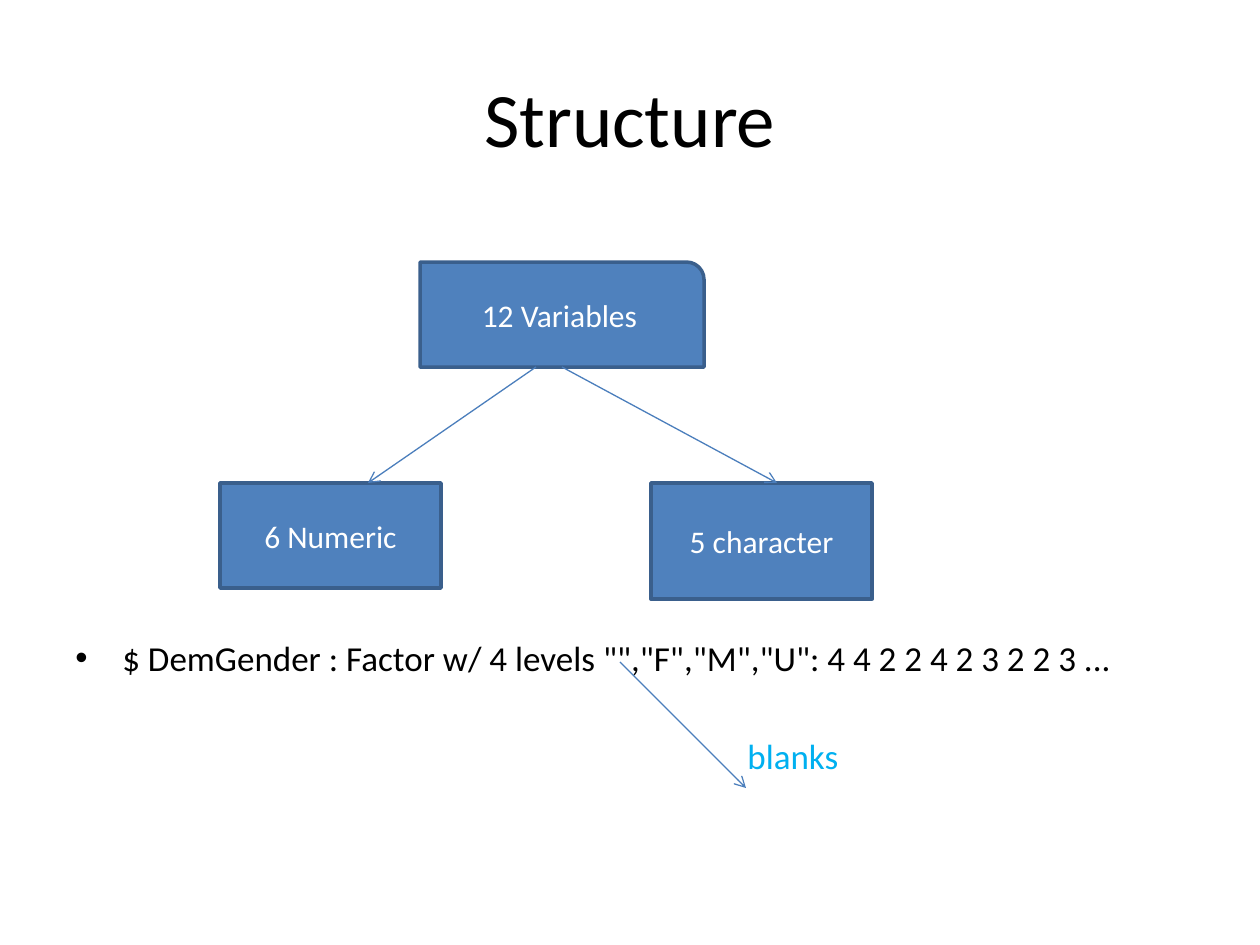
"""Build the Structure slide: a small tree of variable types and a factor example."""
from lxml.etree import SubElement
from pptx import Presentation
from pptx.dml.color import RGBColor
from pptx.enum.shapes import MSO_CONNECTOR as Connector, MSO_SHAPE as Shape
from pptx.enum.text import MSO_ANCHOR as Anchor, PP_ALIGN as Align
from pptx.oxml.ns import qn
from pptx.util import Pt

TITLE = "Structure"
BOXES = [
    ("12 Variables", Shape.ROUND_1_RECTANGLE, (420, 262, 284, 105)),
    ("6 Numeric", Shape.FLOWCHART_PROCESS, (220, 483, 221, 105)),
    ("5 character", Shape.FLOWCHART_PROCESS, (651, 483, 221, 116)),
]
ARROWS = [
    (536, 367, 368, 483),
    (562, 367, 777, 483),
    (620, 662, 746, 788),
]
FACTOR = '$ DemGender : Factor w/ 4 levels "","F","M","U": 4 4 2 2 4 2 3 2 2 3 ...'
NOTES = [
    (FACTOR, (63, 630, 1134, 56), "000000", True),
    ("blanks", (735, 728, 150, 56), "00B0F0", False),
]


def px(*lengths):
    return [round(length * 914400 / 126) for length in lengths]


def color(code):
    return RGBColor.from_string(code)


def write(frame, text, size, code, align):
    frame.word_wrap = True
    paragraph = frame.paragraphs[0]
    paragraph.text = text
    paragraph.alignment = align
    font = paragraph.font
    font.name, font.size = "Calibri", Pt(size)
    font.color.rgb = color(code)


def add_bullet(paragraph):
    props = paragraph._p.get_or_add_pPr()
    indent, = px(47)
    props.set("marL", str(indent))
    props.set("indent", str(-indent))
    SubElement(props, qn("a:buFont"), typeface="Arial")
    SubElement(props, qn("a:buChar"), char="•")


def add_box(shapes, label, preset, place):
    box = shapes.add_shape(preset, *px(*place))
    box.shadow.inherit = False
    box.fill.solid()
    box.fill.fore_color.rgb = color("4F81BD")
    box.line.color.rgb = color("3A5F8C")
    box.line.width = Pt(2)
    box.text_frame.vertical_anchor = Anchor.MIDDLE
    write(box.text_frame, label, 18, "FFFFFF", Align.CENTER)
    return box


def add_arrow(shapes, ends):
    arrow = shapes.add_connector(Connector.STRAIGHT, *px(*ends))
    arrow.line.color.rgb = color("4B7EBC")
    arrow.line.width = Pt(0.75)
    SubElement(arrow.line._get_or_add_ln(), qn("a:tailEnd"), type="arrow")
    SubElement(arrow._element.spPr, qn("a:effectLst"))
    return arrow


def main():
    deck = Presentation()
    deck.slide_width, deck.slide_height = px(1260, 945)
    shapes = deck.slides.add_slide(deck.slide_layouts[5]).shapes

    title = shapes.title
    title.left, title.top, title.width, title.height = px(63, 38, 1134, 157)
    title.text_frame.vertical_anchor = Anchor.MIDDLE
    write(title.text_frame, TITLE, 44, "000000", Align.CENTER)

    for text, place, code, bulleted in NOTES:
        frame = shapes.add_textbox(*px(*place)).text_frame
        if bulleted:
            add_bullet(frame.paragraphs[0])
        write(frame, text, 20, code, Align.LEFT)

    variables, numeric, character = [add_box(shapes, *box) for box in BOXES]
    to_numeric, to_character, to_blanks = [add_arrow(shapes, ends) for ends in ARROWS]
    to_character.begin_connect(variables, 2)

    deck.save("out.pptx")


if __name__ == "__main__":
    main()
